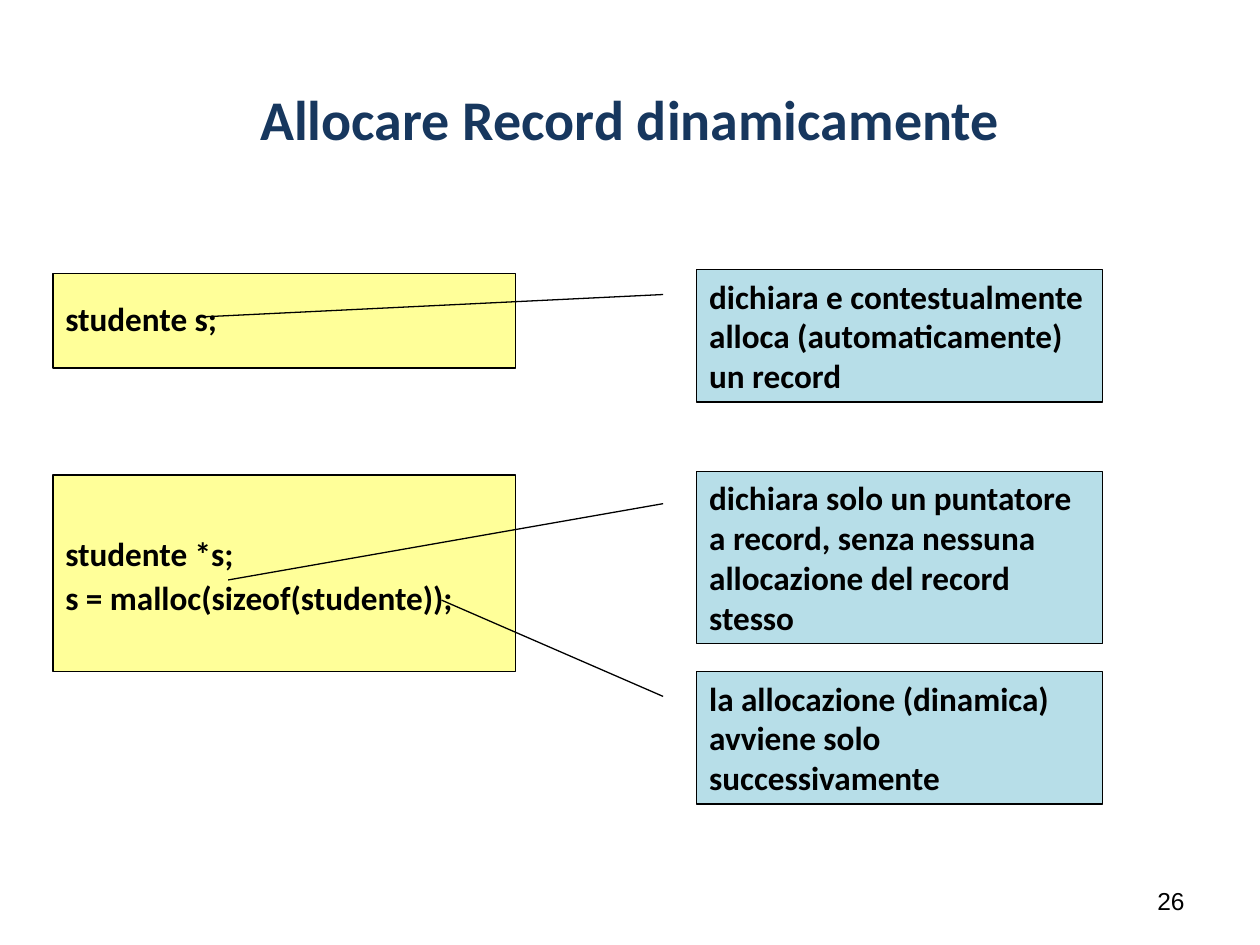
from dataclasses import dataclass
from pptx import Presentation
from pptx.dml.color import RGBColor
from pptx.enum.shapes import MSO_SHAPE
from pptx.enum.text import MSO_ANCHOR, MSO_AUTO_SIZE, PP_ALIGN
from pptx.util import Inches, Pt


@dataclass
class Theme:
    font: str = "Calibri"
    navy: str = "17375E"
    black: str = "000000"
    code: str = "FFFF99"
    note: str = "B7DEE8"
    head: int = 32
    body: int = 19
    small: int = 14


theme = Theme()


def style(para, size, color, align, bold=True, name=theme.font):
    para.alignment = align
    font = para.font
    font.name, font.size, font.bold = name, Pt(size), bold
    font.color.rgb = RGBColor.from_string(color)


def add_box(kind, left, top, width, height, fill, text, align):
    box = slide.shapes.add_shape(
        kind, Inches(left), Inches(top), Inches(width), Inches(height))
    box.shadow.inherit = False
    box.fill.solid()
    box.fill.fore_color.rgb = RGBColor.from_string(fill)
    box.line.color.rgb = RGBColor.from_string(theme.black)
    box.line.width = Pt(0.75)
    box.text_frame.text = text
    for para in box.text_frame.paragraphs:
        style(para, theme.body, theme.black, align)
    return box


deck = Presentation()
deck.slide_width, deck.slide_height = Inches(10), Inches(7.5)
slide = deck.slides.add_slide(deck.slide_layouts[5])

# Title
title = slide.shapes.title
title.left, title.top = Inches(0.5), Inches(0.56)
title.width, title.height = Inches(9), Inches(0.75)
title.text_frame.text = "Allocare Record dinamicamente"
title.text_frame.vertical_anchor = MSO_ANCHOR.MIDDLE
style(title.text_frame.paragraphs[0], theme.head, theme.navy, PP_ALIGN.CENTER)

# Code boxes: top, height, line spacing, text
codes = [
    (2.17, 0.75, 0.9, "studente s;"),
    (3.77, 1.56, 1.1, "studente *s;\ns = malloc(sizeof(studente));"),
]
for top, height, gap, text in codes:
    box = add_box(MSO_SHAPE.FLOWCHART_PROCESS, 0.42, top, 3.67, height,
                  theme.code, text, PP_ALIGN.JUSTIFY)
    frame = box.text_frame
    frame.word_wrap = False
    frame.vertical_anchor = MSO_ANCHOR.MIDDLE
    for para in frame.paragraphs:
        para.line_spacing = gap

# Callouts: top, height, pointer tip (y, x) as shares of the box, text
notes = [
    (2.14, 1.05, (0.356, -1.211),
     "dichiara e contestualmente alloca (automaticamente) un record"),
    (3.74, 1.37, (0.63, -1.155),
     "dichiara solo un puntatore a record, senza nessuna "
     "allocazione del record stesso"),
    (5.33, 1.05, (-0.54, -0.629),
     "la allocazione (dinamica) avviene solo successivamente"),
]
for top, height, tip, text in notes:
    box = add_box(MSO_SHAPE.LINE_CALLOUT_1, 5.53, top, 3.22, height,
                  theme.note, text, PP_ALIGN.LEFT)
    for i, value in enumerate((0.188, -0.083, *tip)):
        box.adjustments[i] = value
    frame = box.text_frame
    frame.word_wrap = True
    frame.vertical_anchor = MSO_ANCHOR.TOP
    frame.auto_size = MSO_AUTO_SIZE.SHAPE_TO_FIT_TEXT

# Page number
page = slide.shapes.add_textbox(
    Inches(7.17), Inches(6.95), Inches(2.33), Inches(0.4))
frame = page.text_frame
frame.word_wrap = True
frame.vertical_anchor = MSO_ANCHOR.MIDDLE
frame.text = "26"
style(frame.paragraphs[0], theme.small, theme.black, PP_ALIGN.RIGHT,
      bold=False, name="Arial")

deck.save("out.pptx")
